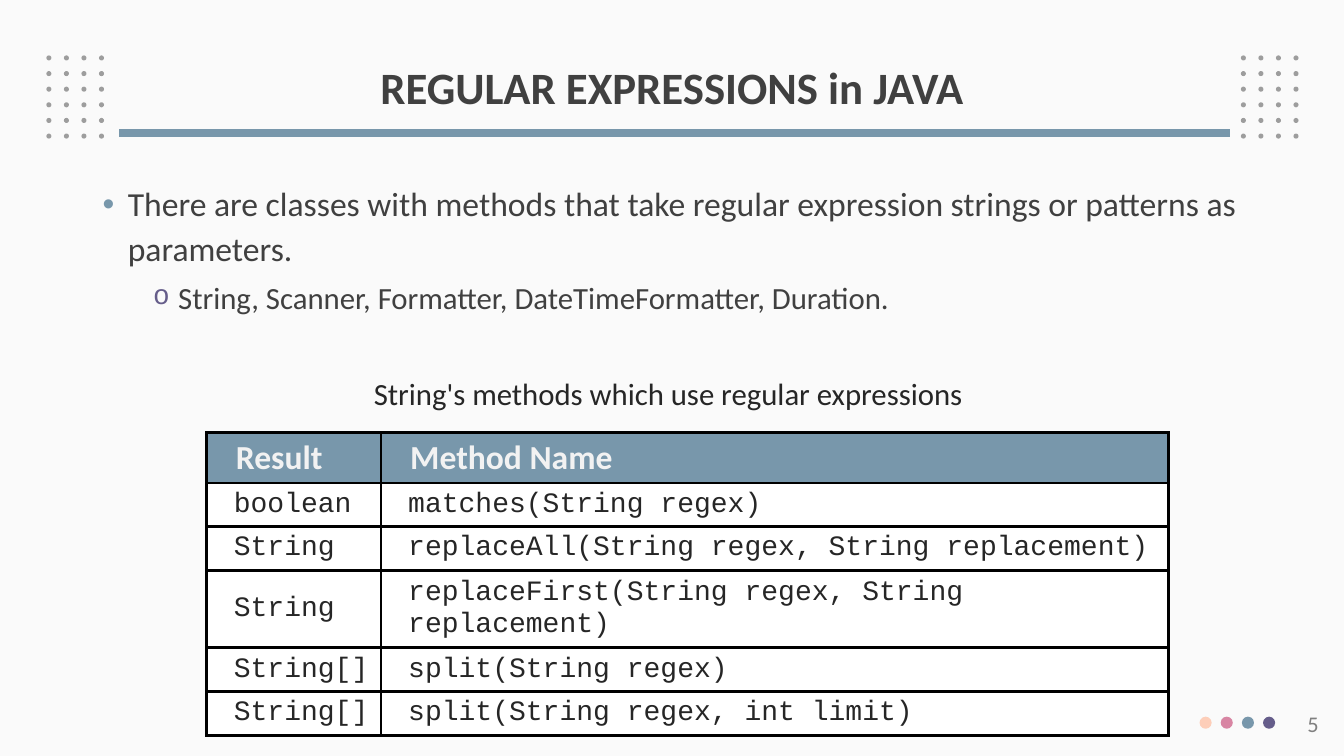
from dataclasses import dataclass
from itertools import product

from lxml.etree import SubElement
from pptx import Presentation
from pptx.dml.color import RGBColor
from pptx.enum.shapes import MSO_CONNECTOR, MSO_SHAPE
from pptx.enum.text import MSO_ANCHOR, PP_ALIGN
from pptx.oxml.ns import qn
from pptx.util import Inches, Pt

PAPER = RGBColor(0xFA, 0xFA, 0xFA)
WHITE = RGBColor(0xFF, 0xFF, 0xFF)
BLACK = RGBColor(0, 0, 0)
INK = RGBColor(0x40, 0x40, 0x40)
DARK = RGBColor(0x26, 0x26, 0x26)
PALE = RGBColor(0xF2, 0xF2, 0xF2)
GREY = RGBColor(0x80, 0x80, 0x80)
DOT = RGBColor(0x9D, 0x9D, 0x9D)
PEACH = RGBColor(0xFD, 0xCE, 0xB9)
PINK = RGBColor(0xD8, 0x85, 0xA3)
BLUE = RGBColor(0x78, 0x97, 0xAB)
PLUM = RGBColor(0x65, 0x5D, 0x8A)

WIDE, HIGH = 133.33, 75  # columns and rows of the slide grid
CODE = "Courier New"


@dataclass
class Box:
    left: float
    top: float
    width: float
    height: float


@dataclass
class Style:
    size: float
    color: RGBColor
    name: str = "Calibri"
    bold: bool = False


@dataclass
class Item:
    text: str
    level: int
    size: float
    sign: str
    face: str
    color: RGBColor
    scale: int
    margin: float
    before: float


ITEMS = [
    Item("There are classes with methods that take regular expression strings "
         "or patterns as parameters.", 0, 24, "•", "Arial", BLUE, 100, 2.5, 0),
    Item("String, Scanner, Formatter, DateTimeFormatter, Duration.",
         1, 22, "o", CODE, PLUM, 90, 7.5, 5),
]
METHODS = [
    ("Result", "Method Name"),
    ("boolean", "matches(String regex)"),
    ("String", "replaceAll(String regex, String replacement)"),
    ("String", "replaceFirst(String regex, String replacement)"),
    ("String[]", "split(String regex)"),
    ("String[]", "split(String regex, int limit)"),
]


def grid(count: float) -> int:
    """Length of a number of grid steps; columns and rows are equally big."""
    return Inches(count / 10)


def place(box: Box) -> tuple[int, ...]:
    return tuple(grid(n) for n in (box.left, box.top, box.width, box.height))


def style_runs(para, style: Style) -> None:
    for run in para.runs:
        font = run.font
        font.name, font.size, font.bold = style.name, Pt(style.size), style.bold
        font.color.rgb = style.color


def indent(para, margin: float, first: float = 0) -> None:
    props = para._p.get_or_add_pPr()
    props.set("marL", str(grid(margin)))
    props.set("indent", str(grid(first)))


def add_dot(slide, left: float, top: float, size: float, color: RGBColor) -> None:
    dot = slide.shapes.add_shape(MSO_SHAPE.OVAL, *place(Box(left, top, size, size)))
    dot.shadow.inherit = False
    dot.fill.solid()
    dot.fill.fore_color.rgb = color
    dot.line.fill.background()


def add_rule(slide) -> None:
    rule = slide.shapes.add_connector(
        MSO_CONNECTOR.STRAIGHT, grid(122), grid(13.2), grid(11.8), grid(13.2))
    rule.line.color.rgb = BLUE
    rule.line.width = Pt(5.25)
    SubElement(rule._element.spPr, qn("a:effectLst"))


def add_text(slide, box: Box, text: str, style: Style, align=PP_ALIGN.LEFT,
             anchor=MSO_ANCHOR.TOP, wrap: bool = True):
    frame = slide.shapes.add_textbox(*place(box)).text_frame
    frame.word_wrap = wrap
    frame.vertical_anchor = anchor
    frame.text = text
    para = frame.paragraphs[0]
    para.alignment = align
    style_runs(para, style)
    return para


def add_bullet(para, item: Item) -> None:
    props = para._p.get_or_add_pPr()
    color = SubElement(props, qn("a:buClr"))
    SubElement(color, qn("a:srgbClr"), val=str(item.color))
    SubElement(props, qn("a:buSzPct"), val=str(item.scale * 1000))
    SubElement(props, qn("a:buFont"), typeface=item.face)
    SubElement(props, qn("a:buChar"), char=item.sign)


def add_list(slide, box: Box, items: list[Item]) -> None:
    frame = slide.shapes.add_textbox(*place(box)).text_frame
    frame.word_wrap = True
    for num, item in enumerate(items):
        para = frame.add_paragraph() if num else frame.paragraphs[0]
        para.text = item.text
        para.level = item.level
        indent(para, item.margin, -2.5)
        add_bullet(para, item)
        para.line_spacing = 1.1
        para.space_before = Pt(item.before)
        style_runs(para, Style(item.size, INK))


def add_border(cell) -> None:
    props = cell._tc.get_or_add_tcPr()
    for side in ("lnL", "lnR", "lnT", "lnB"):
        line = SubElement(props, qn(f"a:{side}"), w=str(Pt(2.25)))
        fill = SubElement(line, qn("a:solidFill"))
        SubElement(fill, qn("a:srgbClr"), val=str(BLACK))


def fill_cell(cell, text: str, head: bool) -> None:
    add_border(cell)
    cell.fill.solid()
    cell.fill.fore_color.rgb = BLUE if head else WHITE
    cell.margin_left = cell.margin_right = grid(0.9 if head else 0.7)
    cell.margin_top = cell.margin_bottom = grid(0.5)
    cell.vertical_anchor = MSO_ANCHOR.TOP if head else MSO_ANCHOR.MIDDLE
    cell.text = text
    para = cell.text_frame.paragraphs[0]
    indent(para, 2)
    para.space_after = Pt(0 if head else 10)
    style_runs(para, Style(24, PALE, bold=True) if head else Style(20, DARK, CODE))


def add_methods(slide, box: Box, widths: tuple[float, ...]) -> None:
    table = slide.shapes.add_table(len(METHODS), len(widths), *place(box)).table
    table.first_row = table.horz_banding = False
    for col, width in zip(table.columns, widths):
        col.width = grid(width)
    for row, texts in enumerate(METHODS):
        for col, text in enumerate(texts):
            fill_cell(table.cell(row, col), text, row == 0)


def main() -> None:
    deck = Presentation()
    deck.slide_width, deck.slide_height = grid(WIDE), grid(HIGH)
    slide = deck.slides.add_slide(deck.slide_layouts[6])
    slide.background.fill.solid()
    slide.background.fill.fore_color.rgb = PAPER

    for left, row, col in product((4.6, 123.1), range(6), range(4)):
        add_dot(slide, left + 1.74 * col, 5.5 + 1.55 * row, 0.5, DOT)
    add_rule(slide)
    for num, color in enumerate((PEACH, PINK, BLUE, PLUM)):
        add_dot(slide, 119 + 2.1 * num, 71.1, 1.2, color)

    title = add_text(slide, Box(9.2, 4, 115, 9.8), "REGULAR EXPRESSIONS in JAVA",
                     Style(32, INK, bold=True), PP_ALIGN.CENTER, MSO_ANCHOR.MIDDLE)
    title.line_spacing = 0.9
    add_list(slide, Box(9.2, 17.3, 115, 19.3), ITEMS)
    add_text(slide, Box(101.8, 70, 30, 4), "5", Style(16, GREY), PP_ALIGN.RIGHT)
    add_methods(slide, Box(20.5, 42.9, 95.4, 21.6), (17.3, 78.1))
    add_text(slide, Box(36.1, 36.7, 61.2, 4.7),
             "String's methods which use regular expressions",
             Style(22, DARK), wrap=False)
    deck.save("out.pptx")


if __name__ == "__main__":
    main()
